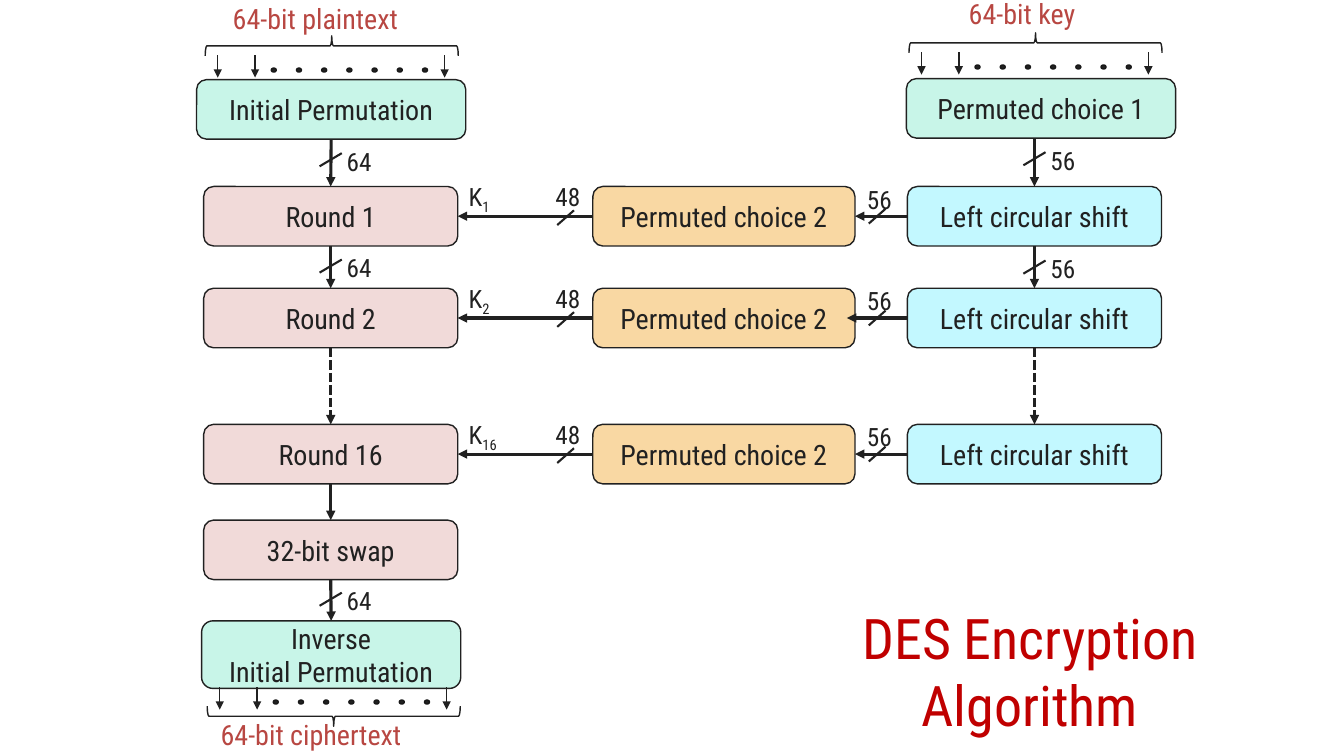
from dataclasses import dataclass
from typing import NamedTuple, Optional, Union

from lxml import etree
from pptx import Presentation
from pptx.dml.color import RGBColor
from pptx.enum.dml import MSO_LINE
from pptx.enum.shapes import MSO_CONNECTOR, MSO_SHAPE
from pptx.enum.text import MSO_ANCHOR, MSO_AUTO_SIZE, PP_ALIGN
from pptx.oxml.ns import qn
from pptx.util import Inches, Pt

STRAIGHT = MSO_CONNECTOR.STRAIGHT
ROUNDED, BRACE, OVAL = MSO_SHAPE.ROUNDED_RECTANGLE, MSO_SHAPE.LEFT_BRACE, MSO_SHAPE.OVAL
DASH = MSO_LINE.SQUARE_DOT
MIDDLE, GROW = MSO_ANCHOR.MIDDLE, MSO_AUTO_SIZE.SHAPE_TO_FIT_TEXT
LEFT_ALIGN, CENTER = PP_ALIGN.LEFT, PP_ALIGN.CENTER
TOP, LEFT, BOTTOM, RIGHT = range(4)

FONT = "Roboto Condensed"
COLORS = {
    "ink": "212121", "dot_edge": "181818", "caption": "B84742", "title": "C00000",
    "permutation": "C8F5E8", "round": "F1DAD9", "choice": "F9D8A3", "shift": "C3F8FF",
}

# The slide is a grid of square cells, 133.3 columns by 75 rows
CELL = Inches(0.1)
COLUMNS, ROWS = 133.3, 75
DATA_AXIS, KEY_AXIS = 32.8, 102.6
ROUND_ROWS = {"1": 18.5, "2": 28.6, "16": 42.1}
BOX_HEIGHT = 5.9


def cells(count: float) -> int:
    return round(count * CELL)


class Point(NamedTuple):
    column: float
    row: float


class Joint(NamedTuple):
    box: str
    side: int


class Crossing(NamedTuple):
    """Half size of a slash and the offset of its bit count."""
    half_width: float
    half_height: float
    label_column: float
    label_row: float


DOWN = Crossing(1.1, 0.65, 0.6, -1.85)
KEY_BITS = Crossing(0.83, 0.73, -2.0, -3.7)
SUBKEY_BITS = Crossing(0.83, 0.73, -2.0, -4.1)


@dataclass
class Box:
    name: str
    text: str
    left: float
    top: float
    width: float
    color: str
    height: float = BOX_HEIGHT


@dataclass
class Link:
    begin: Union[Joint, Point]
    end: Union[Joint, Point]
    dash: Optional[int] = None


@dataclass
class Mark:
    bits: str
    center: Point
    crossing: Crossing


@dataclass
class BitRow:
    caption: str
    caption_at: Point
    axis: float
    brace_row: float
    rotation: int
    arrow_row: float


BOXES = [
    Box("initial", "Initial Permutation", 19.5, 7.9, 26.7, "permutation"),
    Box("swap", "32-bit swap", 20.2, 51.6, 25.2, "round"),
    Box("inverse", "Inverse\nInitial Permutation", 20, 61.6, 25.7, "permutation", 6.7),
    Box("choice 1", "Permuted choice 1", 89.9, 7.8, 26.7, "permutation"),
]
LINKS = [
    Link(Joint("initial", BOTTOM), Joint("round 1", TOP)),
    Link(Point(KEY_AXIS, 13.7), Joint("shift 1", TOP)),
    Link(Joint("round 16", BOTTOM), Joint("swap", TOP)),
    Link(Joint("swap", BOTTOM), Joint("inverse", TOP)),
]
for column in ("round", "shift"):
    LINKS.append(Link(Joint(f"{column} 1", BOTTOM), Joint(f"{column} 2", TOP)))
    LINKS.append(Link(Joint(f"{column} 2", BOTTOM), Joint(f"{column} 16", TOP), DASH))
MARKS = [Mark("64", Point(DATA_AXIS, row), DOWN) for row in (15.85, 26.4, 59.45)]
MARKS += [Mark("56", Point(KEY_AXIS, row), DOWN) for row in (15.75, 26.5)]

# Every round takes its subkey from the key schedule on the right
for number, top in ROUND_ROWS.items():
    BOXES += [
        Box(f"round {number}", f"Round {number}", 20.2, top, 25.2, "round"),
        Box(f"choice 2 {number}", "Permuted choice 2", 58.8, top, 26, "choice"),
        Box(f"shift {number}", "Left circular shift", 90, top, 25.2, "shift"),
    ]
    middle = top + BOX_HEIGHT / 2
    choice_end = Point(84, middle) if number == "2" else Joint(f"choice 2 {number}", RIGHT)
    LINKS += [
        Link(Joint(f"shift {number}", LEFT), choice_end),
        Link(Joint(f"choice 2 {number}", LEFT), Joint(f"round {number}", RIGHT)),
    ]
    MARKS += [
        Mark("56", Point(87, middle), KEY_BITS),
        Mark("48", Point(56.1, middle + 0.15), SUBKEY_BITS),
    ]

BIT_ROWS = [
    BitRow("64-bit plaintext", Point(22.1, -0.3), 32.9, 4.55, 90, 5.5),
    BitRow("64-bit key", Point(95.1, -0.8), 102.7, 4.25, 90, 5.2),
    BitRow("64-bit ciphertext", Point(20.9, 70.7), 33.1, 71.05, 270, 68.2),
]


def rgb(name: str) -> RGBColor:
    return RGBColor.from_string(COLORS[name])


def add_run(paragraph, text: str, size: float, color: str, subscript: bool = False) -> None:
    run = paragraph.add_run()
    run.text = text
    run.font.name, run.font.size = FONT, Pt(size)
    run.font.color.rgb = rgb(color)
    if subscript:
        run._r.get_or_add_rPr().set("baseline", "-25000")


def add_text(slide, at: Point, width: float, height: float, text: str, size: float,
             color: str, subscript: str = "", align=LEFT_ALIGN, grow: bool = True) -> None:
    shape = slide.shapes.add_textbox(cells(at.column), cells(at.row), cells(width), cells(height))
    frame = shape.text_frame
    frame.word_wrap = True
    if grow:
        frame.auto_size = GROW
    paragraph = frame.paragraphs[0]
    paragraph.alignment = align
    add_run(paragraph, text, size, color)
    if subscript:
        add_run(paragraph, subscript, size, color, subscript=True)


def add_outline(slide, kind: int, left: float, top: float, width: float, height: float,
                fill: Optional[str] = None, edge: str = "ink"):
    shape = slide.shapes.add_shape(kind, cells(left), cells(top), cells(width), cells(height))
    shape.shadow.inherit = False
    if fill:
        shape.fill.solid()
        shape.fill.fore_color.rgb = rgb(fill)
    else:
        shape.fill.background()
    shape.line.color.rgb, shape.line.width = rgb(edge), Pt(1)
    return shape


def add_box(slide, box: Box):
    shape = add_outline(slide, ROUNDED, box.left, box.top, box.width, box.height, box.color)
    frame = shape.text_frame
    frame.vertical_anchor = MIDDLE
    for index, line in enumerate(box.text.split("\n")):
        paragraph = frame.add_paragraph() if index else frame.paragraphs[0]
        paragraph.alignment = CENTER
        add_run(paragraph, line, 20, "ink")
    return shape


def add_line(slide, begin: Point, end: Point, weight: float, arrow: bool = True,
             dash: Optional[int] = None):
    line = slide.shapes.add_connector(STRAIGHT, *map(cells, (*begin, *end)))
    line.line.color.rgb, line.line.width = rgb("ink"), Pt(weight)
    if dash is not None:
        line.line.dash_style = dash
    if arrow:
        etree.SubElement(line.line._get_or_add_ln(), qn("a:tailEnd"), type="triangle")
    etree.SubElement(line._element.spPr, qn("a:effectLst"))
    return line


def add_link(slide, link: Link, shapes: dict) -> None:
    start, stop = (end if isinstance(end, Point) else Point(0, 0) for end in (link.begin, link.end))
    if isinstance(link.begin, Point):
        stop = start
    line = add_line(slide, start, stop, 2.25, dash=link.dash)
    if isinstance(link.begin, Joint):
        line.begin_connect(shapes[link.begin.box], link.begin.side)
    if isinstance(link.end, Joint):
        line.end_connect(shapes[link.end.box], link.end.side)


def add_mark(slide, mark: Mark) -> None:
    (column, row), crossing = mark.center, mark.crossing
    add_line(slide, Point(column - crossing.half_width, row + crossing.half_height),
             Point(column + crossing.half_width, row - crossing.half_height), 1.5, arrow=False)
    label_at = Point(column + crossing.label_column, row + crossing.label_row)
    add_text(slide, label_at, 6, 4, mark.bits, 18, "ink")


def add_bit_row(slide, bits: BitRow) -> None:
    thickness, span = 2, 25.1
    brace = add_outline(slide, BRACE, bits.axis - thickness / 2, bits.brace_row - span / 2,
                        thickness, span)
    brace.rotation = bits.rotation
    for offset in (-11.3, -7.6, 11.2):
        column = bits.axis + offset
        add_line(slide, Point(column, bits.arrow_row), Point(column, bits.arrow_row + 2.2), 1)
    for index in range(7):
        add_outline(slide, OVAL, bits.axis - 6 + 2.5 * index, bits.arrow_row + 1.25, 0.5, 0.4,
                    "ink", "dot_edge")
    add_text(slide, bits.caption_at, 25.4, 4.4, bits.caption, 20, "caption")


def main() -> None:
    presentation = Presentation()
    presentation.slide_width, presentation.slide_height = cells(COLUMNS), cells(ROWS)
    slide = presentation.slides.add_slide(presentation.slide_layouts[6])

    # Stages and the arrows between them
    shapes = {box.name: add_box(slide, box) for box in BOXES}
    for link in LINKS:
        add_link(slide, link, shapes)

    # Bit counts, subkey names and the incoming and outgoing bits
    for mark in MARKS:
        add_mark(slide, mark)
    for number, top in ROUND_ROWS.items():
        add_text(slide, Point(45.5, top - 1), 6, 4, "K", 18, "ink", subscript=number)
    for bits in BIT_ROWS:
        add_bit_row(slide, bits)

    # Title
    add_text(slide, Point(76.9, 59.4), 50.5, 10.9, "DES Encryption Algorithm", 40, "title",
             align=CENTER, grow=False)
    presentation.save("out.pptx")


if __name__ == "__main__":
    main()
